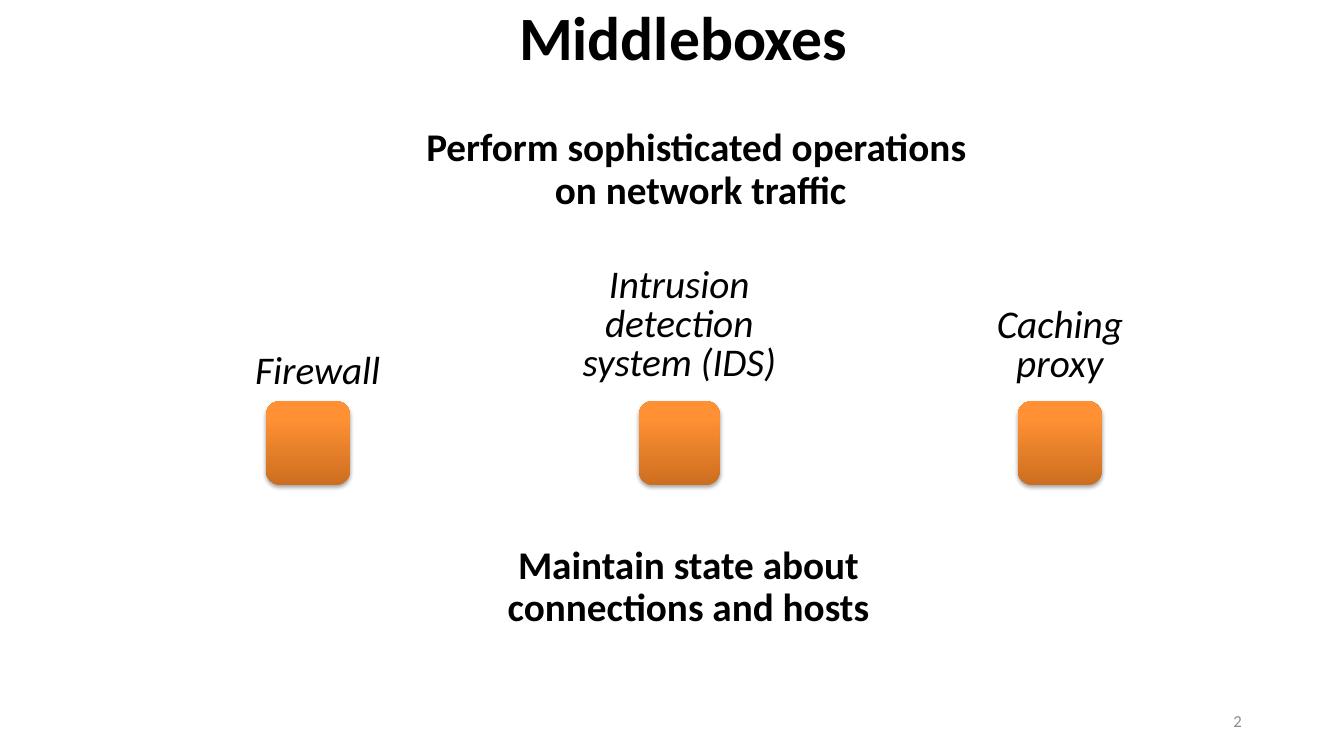
import copy
from dataclasses import dataclass

import pptx
import pptx.dml.color
import pptx.enum.shapes
import pptx.enum.text
import pptx.oxml.ns
import pptx.util
from lxml import etree

Pt = pptx.util.Pt
qn = pptx.oxml.ns.qn
Align = pptx.enum.text.PP_ALIGN
Anchor = pptx.enum.text.MSO_ANCHOR
AutoSize = pptx.enum.text.MSO_AUTO_SIZE

COLOURS = {
    "text": "000000",
    "number": "8C8C8C",
    "shadow": "000000",
    "dark": "CC6E20",
    "middle": "FF9034",
    "light": "FF9136",
}
GRADIENT = ((0, "dark"), (0.8, "middle"), (1, "light"))
BOX_TOP = 286.5
BOX_HEIGHT = 60


@dataclass(frozen=True)
class Area:
    left: float
    top: float
    width: float
    height: float


@dataclass(frozen=True)
class Style:
    size: float = 28
    bold: bool = False
    italic: bool = False
    colour: str = "text"
    align: Align = Align.CENTER
    anchor: Anchor = Anchor.TOP
    spacing: float | pptx.util.Length = 0.9
    wrap: bool = True


@dataclass(frozen=True)
class Middlebox:
    label: tuple[str, ...]
    label_area: Area
    label_align: Align
    left: float
    width: float


STATEMENT = Style(bold=True)
MIDDLEBOXES = (
    Middlebox(("Firewall",), Area(174.2, 248.4, 104.4, 36), Align.RIGHT, 190, 60),
    Middlebox(("Intrusion\ndetection", "system (IDS)"),
              Area(408.2, 187.2, 154, 92.2), Align.CENTER, 456.5, 57.6),
    Middlebox(("Caching\nproxy",), Area(704.2, 216, 105.8, 64), Align.CENTER, 727, 60),
)


def rgb(name: str) -> pptx.dml.color.RGBColor:
    return pptx.dml.color.RGBColor.from_string(COLOURS[name])


def place(shape, area: Area) -> None:
    shape.left, shape.top = Pt(area.left), Pt(area.top)
    shape.width, shape.height = Pt(area.width), Pt(area.height)


def write(shape, area: Area, paragraphs: tuple[str, ...], style: Style) -> None:
    place(shape, area)
    frame = shape.text_frame
    frame.word_wrap = style.wrap
    frame.auto_size = AutoSize.NONE if style.wrap else AutoSize.SHAPE_TO_FIT_TEXT
    frame.vertical_anchor = style.anchor
    for index, text in enumerate(paragraphs):
        para = frame.add_paragraph() if index else frame.paragraphs[0]
        if shape.is_placeholder:
            properties = para._p.get_or_add_pPr()
            properties.set("marL", "0")
            properties.set("indent", "0")
            etree.SubElement(properties, qn("a:buNone"))
        para.alignment = style.align
        para.line_spacing = style.spacing
        para.space_before = Pt(0)
        for number, line in enumerate(text.split("\n")):
            if number:
                para.add_line_break()
            span = para.add_run()
            span.text = line
            span.font.name = "Calibri"
            span.font.size = Pt(style.size)
            span.font.bold = style.bold
            span.font.italic = style.italic
            span.font.color.rgb = rgb(style.colour)


def add_text(page, area: Area, paragraphs: tuple[str, ...], style: Style) -> None:
    write(page.shapes.add_textbox(0, 0, 0, 0), area, paragraphs, style)


def add_shadow(box) -> None:
    box.shadow.inherit = False
    effects = box._element.spPr.find(qn("a:effectLst"))
    shadow = etree.SubElement(effects, qn("a:outerShdw"), {
        "blurRad": str(Pt(3.1)), "dist": str(Pt(1.8)),
        "dir": "5400000", "rotWithShape": "0"})
    colour = etree.SubElement(shadow, qn("a:srgbClr"), val=COLOURS["shadow"])
    etree.SubElement(colour, qn("a:alpha"), val="35000")


def add_middlebox(page, item: Middlebox) -> None:
    box = page.shapes.add_shape(
        pptx.enum.shapes.MSO_SHAPE.ROUNDED_RECTANGLE, 0, 0, 0, 0)
    place(box, Area(item.left, BOX_TOP, item.width, BOX_HEIGHT))
    box.line.fill.background()
    box.fill.gradient()
    box.fill.gradient_angle = 90
    stops = box._element.spPr.find(".//" + qn("a:gsLst"))
    stops.append(copy.deepcopy(stops[0]))
    for stop, (position, colour) in zip(box.fill.gradient_stops, GRADIENT):
        stop.position = position
        stop.color.rgb = rgb(colour)
    add_shadow(box)
    add_text(page, item.label_area, item.label,
             Style(italic=True, align=item.label_align, spacing=Pt(28), wrap=False))


def main() -> None:
    deck = pptx.Presentation()
    deck.slide_width, deck.slide_height = Pt(960), Pt(540)
    page = deck.slides.add_slide(deck.slide_layouts[1])
    write(page.shapes.title, Area(74.2, -24.5, 828, 106.6), ("Middleboxes",),
          Style(size=44, bold=True, anchor=Anchor.MIDDLE))
    write(page.placeholders[1], Area(176.4, 87.8, 648, 74.2),
          ("Perform sophisticated operations \non network traffic",), STATEMENT)
    for item in MIDDLEBOXES:
        add_middlebox(page, item)
    add_text(page, Area(354.2, 385.9, 275, 77.8),
             ("Maintain state about\nconnections and hosts",), STATEMENT)
    add_text(page, Area(678.2, 500.4, 216, 28.8), ("2",),
             Style(size=12, colour="number", align=Align.RIGHT,
                   anchor=Anchor.MIDDLE, spacing=1.0))
    deck.save("out.pptx")


if __name__ == "__main__":
    main()
